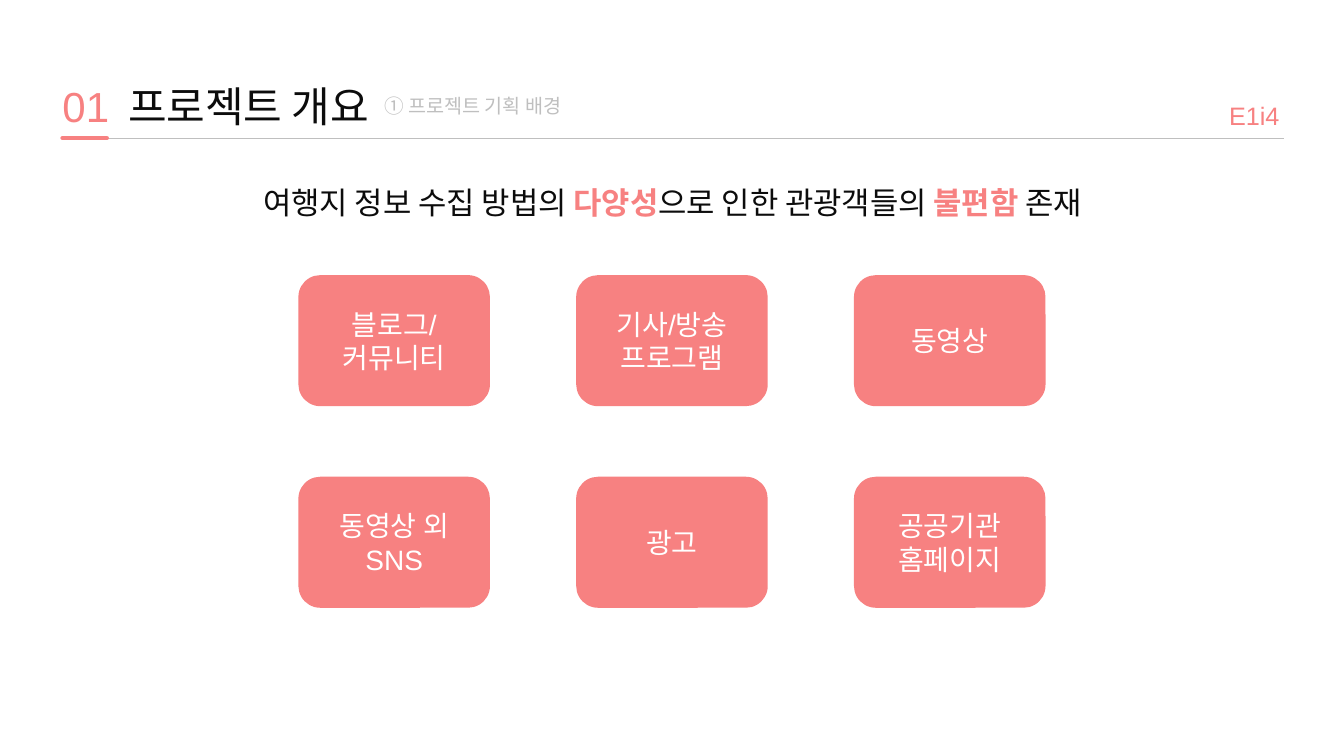
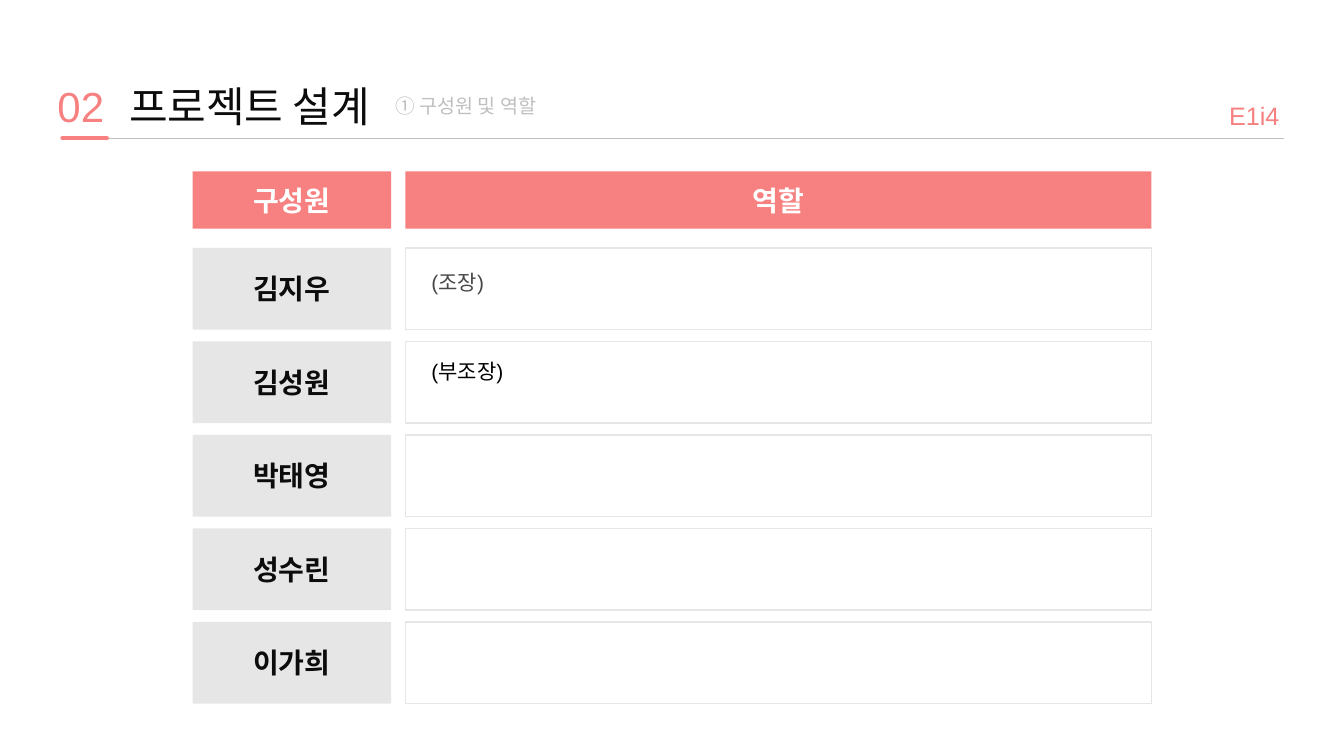
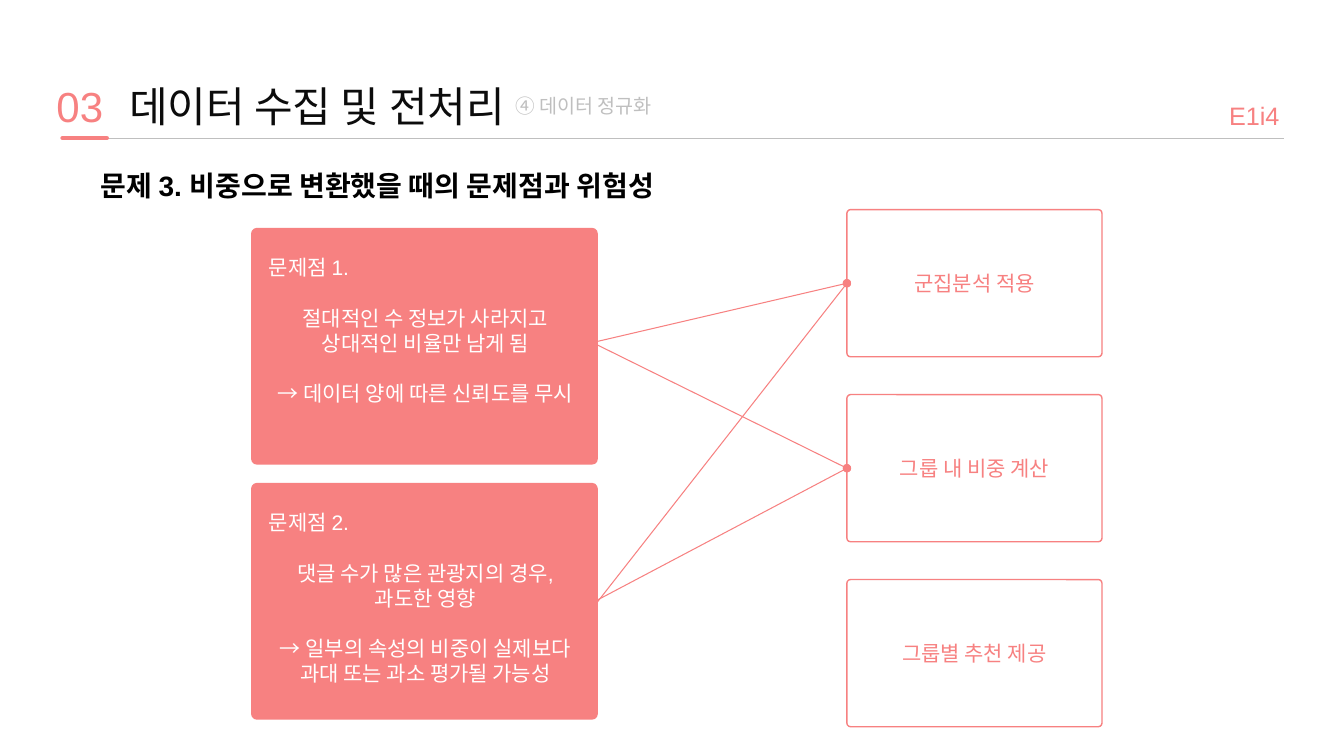
from dataclasses import dataclass
from typing import NamedTuple

from lxml.etree import SubElement
from pptx import Presentation
from pptx.dml.color import RGBColor
from pptx.enum.shapes import MSO_CONNECTOR, MSO_SHAPE
from pptx.enum.text import MSO_ANCHOR, PP_ALIGN
from pptx.oxml.ns import qn
from pptx.util import Inches, Pt


@dataclass(frozen=True)
class Theme:
    font: str = "Arial"
    coral: str = "F78181"
    ink: str = "0C0C0C"
    black: str = "000000"
    charcoal: str = "484848"
    silver: str = "BFBFBF"
    mist: str = "E6E6E6"
    white: str = "FFFFFF"
    title: int = 30
    headline: int = 22
    label: int = 20
    team: int = 18
    body: int = 15
    topic: int = 14


T = Theme()


class Box(NamedTuple):
    left: float
    top: float
    width: float
    height: float

    def emu(self) -> list:
        return [Inches(v) for v in self]


class Style(NamedTuple):
    size: int
    color: str
    bold: bool = False
    align: PP_ALIGN = PP_ALIGN.LEFT
    spacing: float = 1.0


class Header(NamedTuple):
    number: str
    title: str
    topic: str
    number_left: float
    title_left: float
    topic_left: float


class Member(NamedTuple):
    name: str
    role: str = ""
    color: str = T.black
    spacing: float = 1.0


class Problem(NamedTuple):
    top: float
    heading: str
    detail: str
    result: str


class Link(NamedTuple):
    left: float
    top: float
    card: int


CENTER = PP_ALIGN.CENTER
NO_INSETS = (0, 0, 0, 0)
INSETS = (0.1, 0.05, 0.1, 0.05)
WIDE_INSETS = (0.1, 0.1, 0.1, 0.1)


def style_paragraph(p, style: Style) -> None:
    p.alignment = style.align
    p.line_spacing = style.spacing
    p.font.name = T.font
    p.font.size = Pt(style.size)
    p.font.bold = style.bold
    p.font.color.rgb = RGBColor.from_string(style.color)


def frame(sp, insets: tuple, anchor: MSO_ANCHOR):
    """Prepare the text frame of a shape and return it."""
    tf = sp.text_frame
    tf.word_wrap = True
    tf.vertical_anchor = anchor
    tf.margin_left, tf.margin_top, tf.margin_right, tf.margin_bottom = map(Inches, insets)
    return tf


def write(sp, text: str, style: Style, insets: tuple = INSETS,
          anchor: MSO_ANCHOR = MSO_ANCHOR.MIDDLE) -> None:
    tf = frame(sp, insets, anchor)
    tf.text = text
    for p in tf.paragraphs:
        style_paragraph(p, style)


def add_text(slide, box: Box, text: str, style: Style, insets: tuple = NO_INSETS,
             anchor: MSO_ANCHOR = MSO_ANCHOR.TOP) -> None:
    write(slide.shapes.add_textbox(*box.emu()), text, style, insets, anchor)


def add_block(slide, box: Box, fill: str, line: str | None = None,
              corner: float | None = None):
    """Add a filled rectangle, rounded when a corner ratio is given."""
    kind = MSO_SHAPE.RECTANGLE if corner is None else MSO_SHAPE.ROUNDED_RECTANGLE
    sp = slide.shapes.add_shape(kind, *box.emu())
    sp.shadow.inherit = False
    if corner is not None:
        sp.adjustments[0] = corner
    sp.fill.solid()
    sp.fill.fore_color.rgb = RGBColor.from_string(fill)
    if line:
        sp.line.color.rgb = RGBColor.from_string(line)
        sp.line.width = Pt(1)
    else:
        sp.line.fill.background()
    return sp


def add_line(slide, start: tuple, end: tuple, color: str, width: float = 0.75,
             cap: str = "flat", dot: bool = False) -> None:
    c = slide.shapes.add_connector(MSO_CONNECTOR.STRAIGHT, *map(Inches, (*start, *end)))
    c.line.color.rgb = RGBColor.from_string(color)
    c.line.width = Pt(width)
    sp_pr = c.element.spPr
    ln = sp_pr.find(qn("a:ln"))
    ln.set("cap", cap)
    if dot:
        SubElement(ln, qn("a:tailEnd"), type="oval")
    SubElement(sp_pr, qn("a:effectLst"))


def new_slide(prs, header: Header):
    """Add a title-only slide with the shared header."""
    slide = prs.slides.add_slide(prs.slide_layouts[5])
    title = slide.shapes.title
    title.left, title.top, title.width, title.height = Box(header.title_left, 0.8, 4.34, 0.5).emu()
    write(title, header.title, Style(T.title, T.ink), NO_INSETS, MSO_ANCHOR.TOP)
    add_text(slide, Box(header.number_left, 0.8, 0.66, 0.5), header.number,
             Style(T.title, T.coral))
    add_text(slide, Box(header.topic_left, 0.93, 3.05, 0.24), header.topic,
             Style(T.topic, T.silver), anchor=MSO_ANCHOR.BOTTOM)
    add_text(slide, Box(11.58, 1, 1.11, 0.3), "E1i4",
             Style(T.team, T.coral, align=PP_ALIGN.RIGHT), anchor=MSO_ANCHOR.BOTTOM)
    add_line(slide, (1.06, 1.37), (12.73, 1.37), T.silver)
    add_line(slide, (0.62, 1.37), (1.06, 1.37), T.coral, 3, cap="rnd")
    return slide


def build_background(prs) -> None:
    slide = new_slide(prs, Header("01", "프로젝트 개요", "① 프로젝트 기획 배경", 0.62, 1.27, 3.81))
    headline = slide.shapes.add_textbox(*Box(1.47, 1.74, 10.4, 0.51).emu())
    p = frame(headline, INSETS, MSO_ANCHOR.TOP).paragraphs[0]
    style_paragraph(p, Style(T.headline, T.ink, align=CENTER, spacing=1.1))
    for text, strong in (("여행지 정보 수집 방법의 ", False), ("다양성", True),
                         ("으로 인한 관광객들의 ", False), ("불편함", True), (" 존재", False)):
        r = p.add_run()
        r.text = text
        if strong:
            r.font.bold = True
            r.font.color.rgb = RGBColor.from_string(T.coral)

    sources = ("블로그/\n커뮤니티", "기사/방송 프로그램", "동영상",
               "동영상 외 SNS", "광고", "공공기관 홈페이지")
    for i, source in enumerate(sources):
        row, col = divmod(i, 3)
        box = Box(2.96 + 2.755 * col, 2.73 + 2 * row, 1.9, 1.3)
        sp = add_block(slide, box, T.coral, corner=0.167)
        write(sp, source, Style(T.label, T.white, align=CENTER), WIDE_INSETS)


def build_members(prs) -> None:
    slide = new_slide(prs, Header("02", "프로젝트 설계", "① 구성원 및 역할", 0.57, 1.28, 3.92))
    name_left, name_width, role_left, role_width = 1.91, 1.97, 4.02, 7.4
    for text, left, width in (("구성원", name_left, name_width), ("역할", role_left, role_width)):
        sp = add_block(slide, Box(left, 1.7, width, 0.57), T.coral)
        write(sp, text, Style(T.label, T.white, True, CENTER))

    members = (Member("김지우", "(조장)", T.charcoal, 1.3), Member("김성원", "(부조장)", T.black, 1.1),
               Member("박태영"), Member("성수린"), Member("이가희"))
    for i, member in enumerate(members):
        top = 2.46 + 0.9275 * i
        name = add_block(slide, Box(name_left, top, name_width, 0.81), T.mist)
        write(name, member.name, Style(T.label, T.ink, True, CENTER))
        role = add_block(slide, Box(role_left, top, role_width, 0.81), T.white, T.mist)
        if member.role:
            write(role, member.role, Style(T.body, member.color, spacing=member.spacing),
                  (0.26, 0.14, 0.1, 0.05), MSO_ANCHOR.TOP)


def build_normalization(prs) -> None:
    slide = new_slide(prs, Header("03", "데이터 수집 및 전처리", "④ 데이터 정규화", 0.56, 1.28, 5.11))
    add_text(slide, Box(0.9, 1.52, 7.37, 0.64), "문제 3. 비중으로 변환했을 때의 문제점과 위험성",
             Style(T.label, T.black, True, spacing=1.15), WIDE_INSETS)

    problems = (
        Problem(2.26, "문제점 1.", "절대적인 수 정보가 사라지고\v상대적인 비율만 남게 됨",
                "→ 데이터 양에 따른 신뢰도를 무시"),
        Problem(4.79, "문제점 2.", "댓글 수가 많은 관광지의 경우,\v과도한 영향",
                "→ 일부의 속성의 비중이 실제보다 과대 또는 과소 평가될 가능성"),
    )
    for problem in problems:
        sp = add_block(slide, Box(2.49, problem.top, 3.44, 2.35), T.coral, corner=0.025)
        write(sp, "\n".join(problem[1:]), Style(T.body, T.white, align=CENTER),
              (0.16, 0.25, 0.14, 0.05), MSO_ANCHOR.TOP)
        heading, *details = sp.text_frame.paragraphs
        heading.alignment = PP_ALIGN.LEFT
        for p in details:
            p.space_before = Pt(18)

    card_left, card_height = 8.4, 1.46
    card_tops = [2.08 + 1.835 * i for i in range(3)]
    for top, text in zip(card_tops, ("군집분석 적용", "그룹 내 비중 계산", "그룹별 추천 제공")):
        sp = add_block(slide, Box(card_left, top, 2.53, card_height), T.white, T.coral, 0.025)
        write(sp, text, Style(T.body, T.coral, align=CENTER))

    for link in (Link(5.87, 3.4, 0), Link(5.88, 3.4, 1), Link(5.93, 5.95, 1), Link(5.88, 6.03, 0)):
        end = (card_left, card_tops[link.card] + card_height / 2)
        add_line(slide, (link.left, link.top), end, T.coral, dot=True)


def main() -> None:
    prs = Presentation()
    prs.slide_width, prs.slide_height = Inches(13.33), Inches(7.5)
    build_background(prs)
    build_members(prs)
    build_normalization(prs)
    prs.save("out.pptx")


if __name__ == "__main__":
    main()
